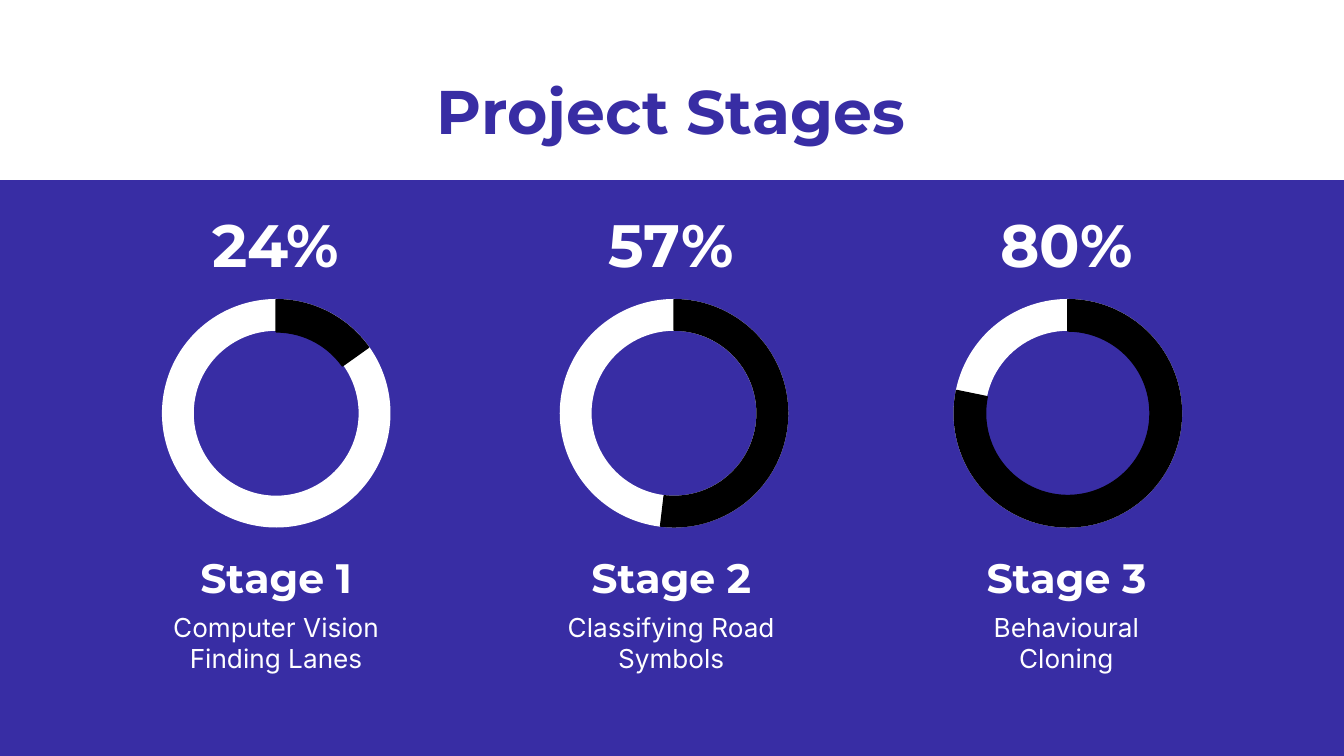
from pptx import Presentation
from pptx.dml.color import RGBColor
from pptx.enum.shapes import MSO_SHAPE as Shape
from pptx.enum.text import MSO_ANCHOR as Anchor, PP_ALIGN as Align
from pptx.util import Inches, Pt

INDIGO = RGBColor(0x38, 0x2D, 0xA4)
WHITE = RGBColor(0xFF, 0xFF, 0xFF)
BLACK = RGBColor(0, 0, 0)

TITLE = "Project Stages"
STAGES = [
    {"percent": "24%", "name": "Stage 1", "topic": ["Computer Vision", "Finding Lanes"],
     "ring_left": 1.21, "end": 324.5, "thickness": 0.142},
    {"percent": "57%", "name": "Stage 2", "topic": ["Classifying Road Symbols"],
     "ring_left": 4.17, "end": 96.8, "thickness": 0.134},
    {"percent": "80%", "name": "Stage 3", "topic": ["Behavioural", "Cloning"],
     "ring_left": 7.1, "end": 191.6, "thickness": 0.138},
]

HEADING = {"name": "Montserrat", "bold": True}
TITLE_FONT = {**HEADING, "size": Pt(33), "color": INDIGO}
PERCENT_FONT = {**HEADING, "size": Pt(32), "color": WHITE}
NAME_FONT = {**HEADING, "size": Pt(22), "color": WHITE}
TOPIC_FONT = {"name": "Inter", "bold": False, "size": Pt(14), "color": WHITE}

SLIDE_WIDTH = 10
SLIDE_HEIGHT = SLIDE_WIDTH * 9 / 16
BAND_TOP = 1.34
COLUMN_LEFT, COLUMN_WIDTH, COLUMN_PITCH = 0.77, 2.57, 2.94
RING_TOP, RING_SIZE = 2.23, 1.69
ANGLE_UNIT = 0.6


def add_text(slide, lines, box, font_format, anchor=Anchor.TOP):
    frame = slide.shapes.add_textbox(*map(Inches, box)).text_frame
    frame_format = {"word_wrap": True, "vertical_anchor": anchor}
    for side in ("left", "right", "top", "bottom"):
        frame_format[f"margin_{side}"] = Inches(0.1)
    for key, value in frame_format.items():
        setattr(frame, key, value)
    frame.text = "\n".join(lines)
    for paragraph in frame.paragraphs:
        paragraph.alignment = Align.CENTER
        for key, value in font_format.items():
            if key == "color":
                paragraph.font.color.rgb = value
            else:
                setattr(paragraph.font, key, value)


def add_filled(slide, kind, box, color):
    shape = slide.shapes.add_shape(kind, *map(Inches, box))
    shape.shadow.inherit = False
    shape.fill.solid()
    shape.fill.fore_color.rgb = color
    return shape


def add_arc(slide, left, color, start, end, thickness, rotation=0):
    box = (left, RING_TOP, RING_SIZE, RING_SIZE)
    arc = add_filled(slide, Shape.BLOCK_ARC, box, color)
    arc.line.color.rgb = color
    arc.line.width = Pt(0.75)
    arc.rotation = rotation
    for index, value in enumerate((start * ANGLE_UNIT, end * ANGLE_UNIT, thickness)):
        arc.adjustments[index] = value


def main():
    deck = Presentation()
    deck.slide_width, deck.slide_height = Inches(SLIDE_WIDTH), Inches(SLIDE_HEIGHT)
    slide = deck.slides.add_slide(deck.slide_layouts[6])

    band_box = (0, BAND_TOP, SLIDE_WIDTH, SLIDE_HEIGHT - BAND_TOP)
    band = add_filled(slide, Shape.RECTANGLE, band_box, INDIGO)
    band.line.fill.background()
    add_text(slide, [TITLE], (0.79, 0.44, 8.41, 0.63), TITLE_FONT)

    for column, stage in enumerate(STAGES):
        left = COLUMN_LEFT + column * COLUMN_PITCH
        ring_left = stage["ring_left"]
        add_text(slide, [stage["percent"]], (left, 1.59, COLUMN_WIDTH, 0.45),
                 PERCENT_FONT, Anchor.MIDDLE)
        add_arc(slide, ring_left, WHITE, 150.87, 150.67, 0.134, rotation=45)
        add_arc(slide, ring_left, BLACK, 270, stage["end"], stage["thickness"])
        add_text(slide, [stage["name"]], (left, 4.01, COLUMN_WIDTH, 0.5), NAME_FONT)
        add_text(slide, stage["topic"], (left, 4.5, COLUMN_WIDTH, 0.56),
                 TOPIC_FONT, Anchor.MIDDLE)

    deck.save("out.pptx")


if __name__ == "__main__":
    main()
